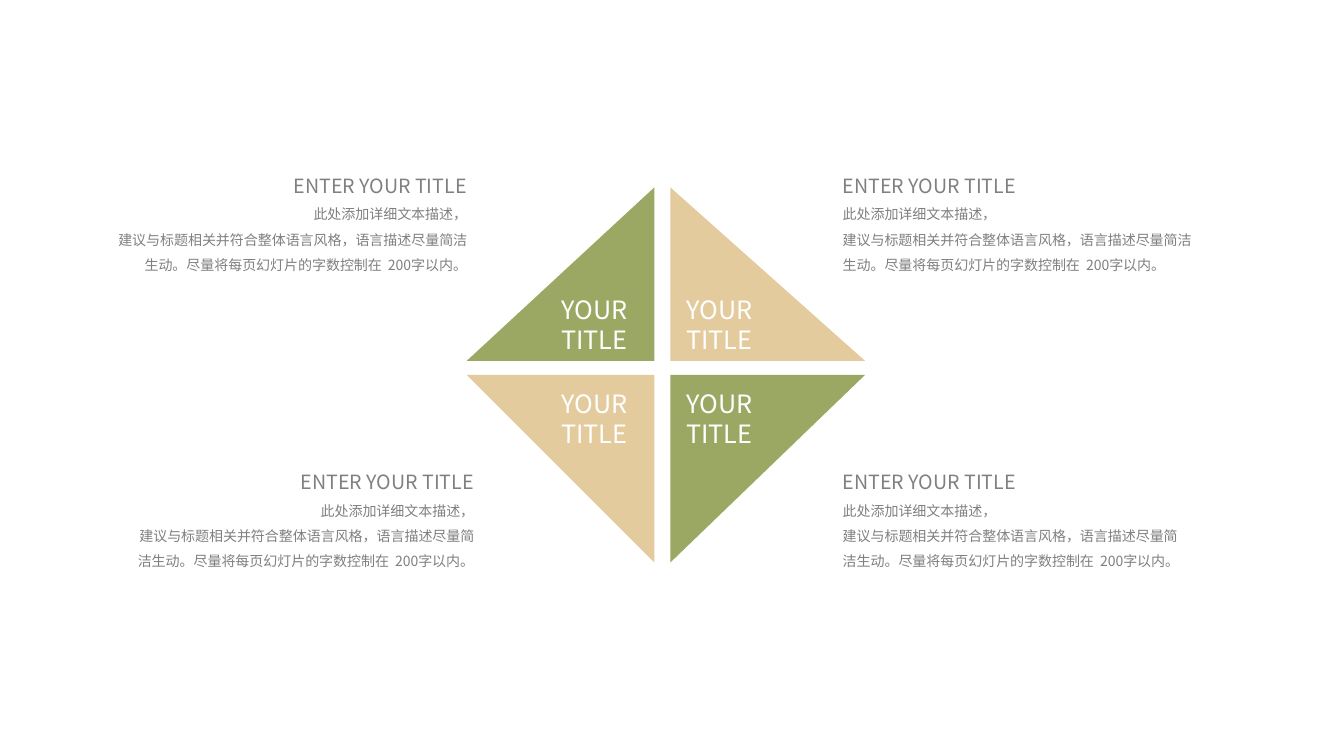
from copy import deepcopy

from lxml import etree
from pptx import Presentation
from pptx.dml.color import RGBColor
from pptx.enum.shapes import MSO_SHAPE
from pptx.enum.text import MSO_AUTO_SIZE, PP_ALIGN
from pptx.oxml.ns import qn
from pptx.util import Inches, Pt

TRIANGLE = MSO_SHAPE.RIGHT_TRIANGLE
FIT = MSO_AUTO_SIZE.SHAPE_TO_FIT_TEXT
LEFT, RIGHT = PP_ALIGN.LEFT, PP_ALIGN.RIGHT

# Content
FONT = "Noto Sans CJK SC"
GREEN, SAND, WHITE, GREY = "9BA863", "E3CB9D", "FFFFFF", "808080"
LABEL = "YOUR TITLE"
HEADING = "ENTER YOUR TITLE"
DESCRIPTION = [
    "此处添加详细文本描述，",
    "建议与标题相关并符合整体语言风格，语言描述尽量简洁生动。"
    "尽量将每页幻灯片的字数控制在  200字以内。",
]

# Grid in inches: columns are left/right, rows are top/bottom
WIDTH, HEIGHT = 13.33, 7.5
INNER_X = (6.49, 6.65)          # edges of the vertical gap
INNER_Y = (3.58, 3.72)          # edges of the horizontal gap
TRIANGLE_W = (1.86, 1.93)
TRIANGLE_H = (1.72, 1.86)
LABEL_X, LABEL_Y = (5.47, 6.71), (2.87, 3.8)
LABEL_W, LABEL_H = 0.96, 0.71
NOTE_X = ((0.96, 8.26), (1.22, 8.26))   # one pair per row
NOTE_Y, NOTE_W, NOTE_H = (1.56, 4.5), (3.77, 3.58), 1.21


def color(value):
    return RGBColor.from_string(value)


def style(span, size, fill):
    span.font.size = Pt(size)
    span.font.color.rgb = color(fill)
    span.font.name = FONT
    east_asian = etree.SubElement(span.font._element, qn("a:ea"))
    east_asian.set("typeface", FONT)


def add_triangle(page, column, row):
    width, height = TRIANGLE_W[column], TRIANGLE_H[row]
    left = INNER_X[column] - (0 if column else width)
    top = INNER_Y[row] - (0 if row else height)
    shape = page.shapes.add_shape(
        TRIANGLE, Inches(left), Inches(top), Inches(width), Inches(height))
    shape.shadow.inherit = False
    shape.fill.solid()
    shape.fill.fore_color.rgb = color(GREEN if column == row else SAND)
    shape.line.fill.background()
    # The right angle always faces the centre
    frame = shape._element.spPr.find(qn("a:xfrm"))
    if column == 0:
        frame.set("flipH", "1")
    if row == 1:
        frame.set("flipV", "1")


def add_text(page, left, top, width, height, text):
    box = page.shapes.add_textbox(
        Inches(left), Inches(top), Inches(width), Inches(height))
    box.text_frame.word_wrap = True
    box.text_frame.auto_size = FIT
    para = box.text_frame.paragraphs[0]
    para.text = text
    return para


def add_label(page, column, row):
    para = add_text(page, LABEL_X[column], LABEL_Y[row], LABEL_W, LABEL_H, LABEL)
    style(para.runs[0], 18, WHITE)


def add_note(page, column, row):
    para = add_text(page, NOTE_X[row][column], NOTE_Y[row], NOTE_W[row], NOTE_H,
                    "\v".join([HEADING] + DESCRIPTION))
    para.alignment = LEFT if column else RIGHT
    para.line_spacing = 1.5
    para.space_after = Pt(6)
    for index, span in enumerate(para.runs):
        style(span, 10 if index else 14, GREY)
    # Line breaks take the size of the text before them
    for line_break in para._p.findall(qn("a:br")):
        line_break.append(deepcopy(line_break.getprevious().find(qn("a:rPr"))))


def main():
    deck = Presentation()
    deck.slide_width, deck.slide_height = Inches(WIDTH), Inches(HEIGHT)
    page = deck.slides.add_slide(deck.slide_layouts[6])
    for add_part in (add_triangle, add_label, add_note):
        for row in range(2):
            for column in range(2):
                add_part(page, column, row)
    deck.save("out.pptx")


if __name__ == "__main__":
    main()
